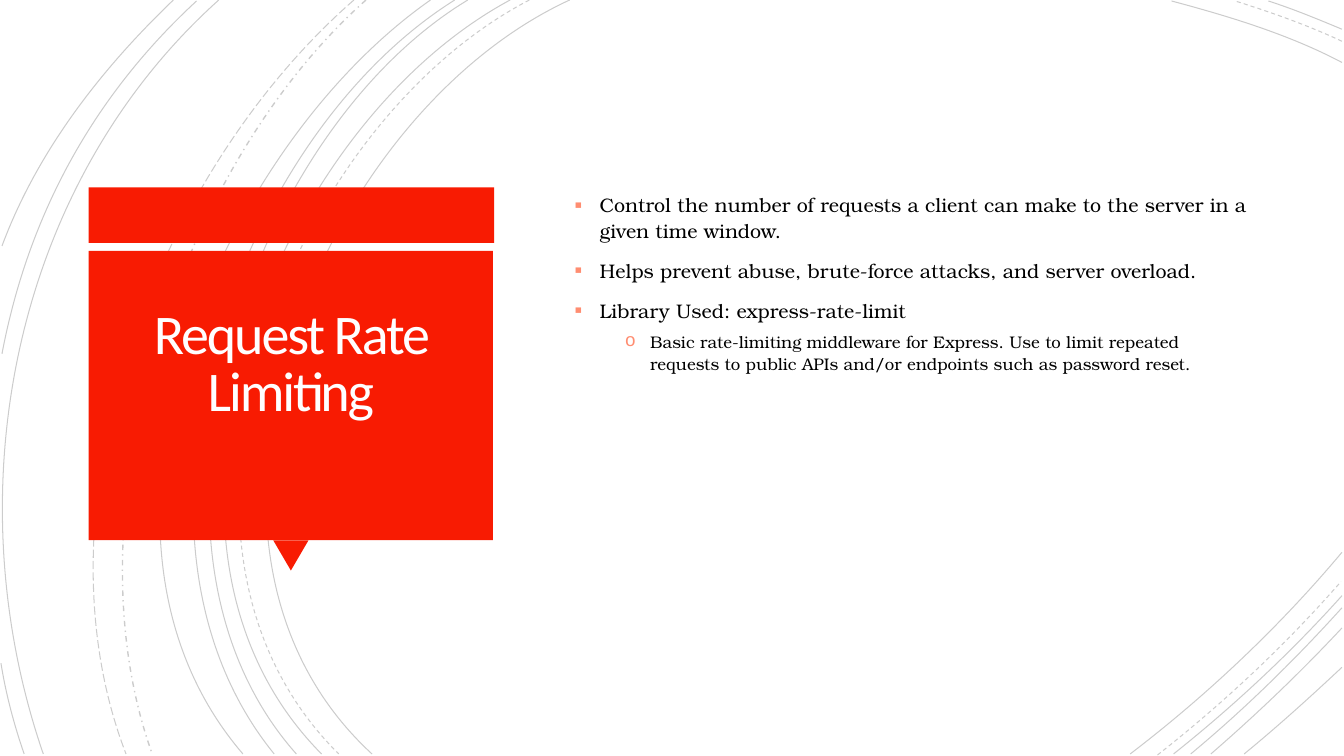
"""Build the Request Rate Limiting slide: curved line backdrop, red title panel and bullet list."""
from lxml import etree
from pptx import Presentation
from pptx.dml.color import RGBColor
from pptx.enum.dml import MSO_LINE
from pptx.enum.shapes import MSO_SHAPE
from pptx.enum.text import MSO_ANCHOR, PP_ALIGN
from pptx.oxml.ns import qn
from pptx.util import Inches, Pt

SOLID, DASH = MSO_LINE.SOLID, MSO_LINE.DASH
DASH_DOT, LONG_DASH = MSO_LINE.DASH_DOT, MSO_LINE.LONG_DASH
RECT, TRIANGLE = MSO_SHAPE.RECTANGLE, MSO_SHAPE.ISOSCELES_TRIANGLE
MIDDLE, CENTER = MSO_ANCHOR.MIDDLE, PP_ALIGN.CENTER
COLORS = {"curve": "000000", "panel": "F81B02", "title": "FFFEFF", "body": "000000", "bullet": "FF8D71"}
TITLE_FONT, BODY_FONT = "Calibri", "TeX Gyre Bonum"


def rgb(name):
    return RGBColor.from_string(COLORS[name])


def add_text_box(shapes, box, insets):
    tf = shapes.add_textbox(*map(Inches, box)).text_frame
    tf.word_wrap = True
    tf.vertical_anchor = MIDDLE
    tf.margin_left, tf.margin_top, tf.margin_right, tf.margin_bottom = map(Inches, insets)
    return tf


prs = Presentation()
prs.slide_width, prs.slide_height = Inches(13.33), Inches(7.5)
s = prs.slides.add_slide(prs.slide_layouts[6])

curves = [
    ([(5.65, 0), (3.15, 1.15), (1.43, 5.4), (3.69, 7.48)], SOLID),
    ([(13.31, 0.62), (12.78, 0.34), (12.18, 0.16), (11.62, 0.01)], SOLID),
    ([(11.21, 7.48), (11.97, 6.9), (12.69, 6.22), (13.31, 5.48)], SOLID),
    ([(5.25, 0), (2.85, 1.25), (1.23, 5.37), (3.36, 7.48)], DASH),
    ([(13.31, 0.41), (12.97, 0.25), (12.6, 0.12), (12.25, 0.01)], DASH),
    ([(11.48, 7.49), (12.13, 6.98), (12.75, 6.4), (13.3, 5.77)], DASH),
    ([(5.06, 0), (2.7, 1.27), (1.1, 5.37), (3.19, 7.48)], SOLID),
    ([(13.31, 0.29), (13.07, 0.19), (12.83, 0.09), (12.58, 0.01)], SOLID),
    ([(11.64, 7.48), (12.23, 7.01), (12.8, 6.48), (13.31, 5.91)], SOLID),
    ([(4.64, 0), (2.44, 1.33), (1.1, 5.41), (2.94, 7.48)], SOLID),
    ([(11.81, 7.48), (12.34, 7.04), (12.84, 6.55), (13.31, 6.03)], SOLID),
    ([(4.51, 0), (2.31, 1.38), (0.97, 5.33), (2.72, 7.48)], SOLID),
    ([(12.01, 7.48), (12.46, 7.09), (12.9, 6.67), (13.31, 6.23)], SOLID),
    ([(4.27, 0), (2.17, 1.47), (0.53, 5.29), (2.41, 7.48)], SOLID),
    ([(12.34, 7.48), (12.67, 7.21), (12.99, 6.92), (13.31, 6.62)], SOLID),
    ([(3.63, 0), (1.76, 1.66), (0.65, 5.09), (1.51, 7.48)], DASH_DOT),
    ([(3.51, 0), (1.57, 1.69), (0.29, 4.99), (1.25, 7.48)], LONG_DASH),
    ([(2.17, 0), (0.11, 1.85), (-0.46, 4.9), (0.43, 7.48)], SOLID),
    ([(1.95, 0.01), (0.92, 0.96), (0.28, 2.14), (0.02, 3.51)], SOLID),
    ([(0.01, 6.58), (0.06, 6.89), (0.14, 7.19), (0.24, 7.48)], SOLID),
    ([(1.72, 0), (1, 0.69), (0.37, 1.5), (0.02, 2.44)], SOLID),
]
for points, dash in curves:
    start, *others = [(Inches(x), Inches(y)) for x, y in points]
    builder = s.shapes.build_freeform(*start)
    builder.add_line_segments(others, close=False)
    sp = builder.convert_to_shape()
    sp.shadow.inherit = False
    sp.fill.background()
    sp.line.color.rgb = rgb("curve")
    sp.line.width = Pt(1 if dash == DASH_DOT else 0.75)
    sp.line.dash_style = dash
    color = next(sp.line._ln.iter(qn("a:srgbClr")))
    etree.SubElement(color, qn("a:alpha"), val="20000")
    outline = next(sp._element.iter(qn("a:path")))
    segments = outline.findall(qn("a:lnTo"))
    bezier = etree.SubElement(outline, qn("a:cubicBezTo"))
    for segment in segments:
        bezier.append(segment[0])
        outline.remove(segment)

panel_parts = [
    (RECT, (0.88, 1.86, 4.02, 0.55), 0),
    (TRIANGLE, (2.71, 5.36, 0.35, 0.3), 180),
    (RECT, (0.88, 2.49, 4.01, 2.87), 0),
]
for kind, box, rotation in panel_parts:
    sp = s.shapes.add_shape(kind, *map(Inches, box))
    sp.rotation = rotation
    sp.shadow.inherit = False
    sp.fill.solid()
    sp.fill.fore_color.rgb = rgb("panel")
    sp.line.fill.background()

tf = add_text_box(s.shapes, (0.97, 2.58, 3.83, 2.68), (0.25, 0.25, 0.25, 0.83))
p = tf.paragraphs[0]
p.text = "Request Rate Limiting"
p.alignment = CENTER
p.line_spacing = 0.85
r = p.runs[0]
r.font.name, r.font.size, r.font.color.rgb = TITLE_FONT, Pt(40), rgb("title")
r._r.get_or_add_rPr().set("spc", "-150")

bullets = [
    (0, "Control the number of requests a client can make to the server in a given time window."),
    (0, "Helps prevent abuse, brute-force attacks, and server overload."),
    (0, "Library Used: express-rate-limit"),
    (1, "Basic rate-limiting middleware for Express. Use to limit repeated requests to public APIs "
        "and/or endpoints such as password reset."),
]
levels = [
    {"indent": 0.25, "before": 10, "size": 14, "mark": "▪", "mark_font": "Calibri"},
    {"indent": 0.75, "before": 5, "size": 12, "mark": "o", "mark_font": "Courier New"},
]
tf = add_text_box(s.shapes, (5.6, 0.87, 6.87, 5.26), (0.1, 0.05, 0.1, 1.45))
for i, (level, text) in enumerate(bullets):
    style = levels[level]
    p = tf.add_paragraph() if i else tf.paragraphs[0]
    p.text = text
    p.level = level
    p.line_spacing = 1.1
    p.space_before = Pt(style["before"])
    r = p.runs[0]
    r.font.name, r.font.size, r.font.color.rgb = BODY_FONT, Pt(style["size"]), rgb("body")
    pPr = p._p.get_or_add_pPr()
    pPr.set("marL", str(Inches(style["indent"])))
    pPr.set("indent", str(Inches(-0.25)))
    bullet_color = etree.SubElement(pPr, qn("a:buClr"))
    etree.SubElement(bullet_color, qn("a:srgbClr"), val=COLORS["bullet"])
    etree.SubElement(pPr, qn("a:buSzPct"), val="110000")
    etree.SubElement(pPr, qn("a:buFont"), typeface=style["mark_font"])
    etree.SubElement(pPr, qn("a:buChar"), char=style["mark"])

prs.save("out.pptx")
